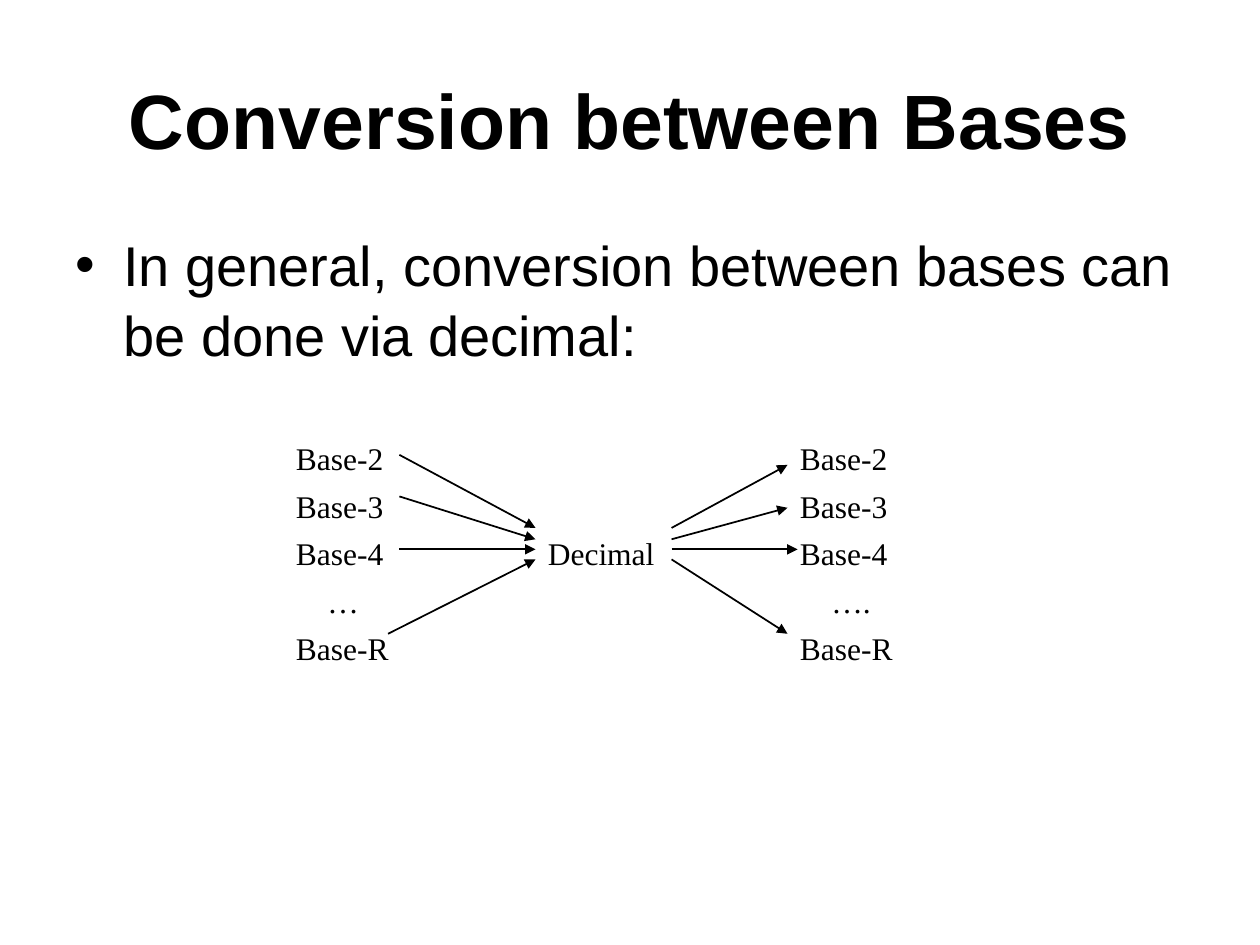
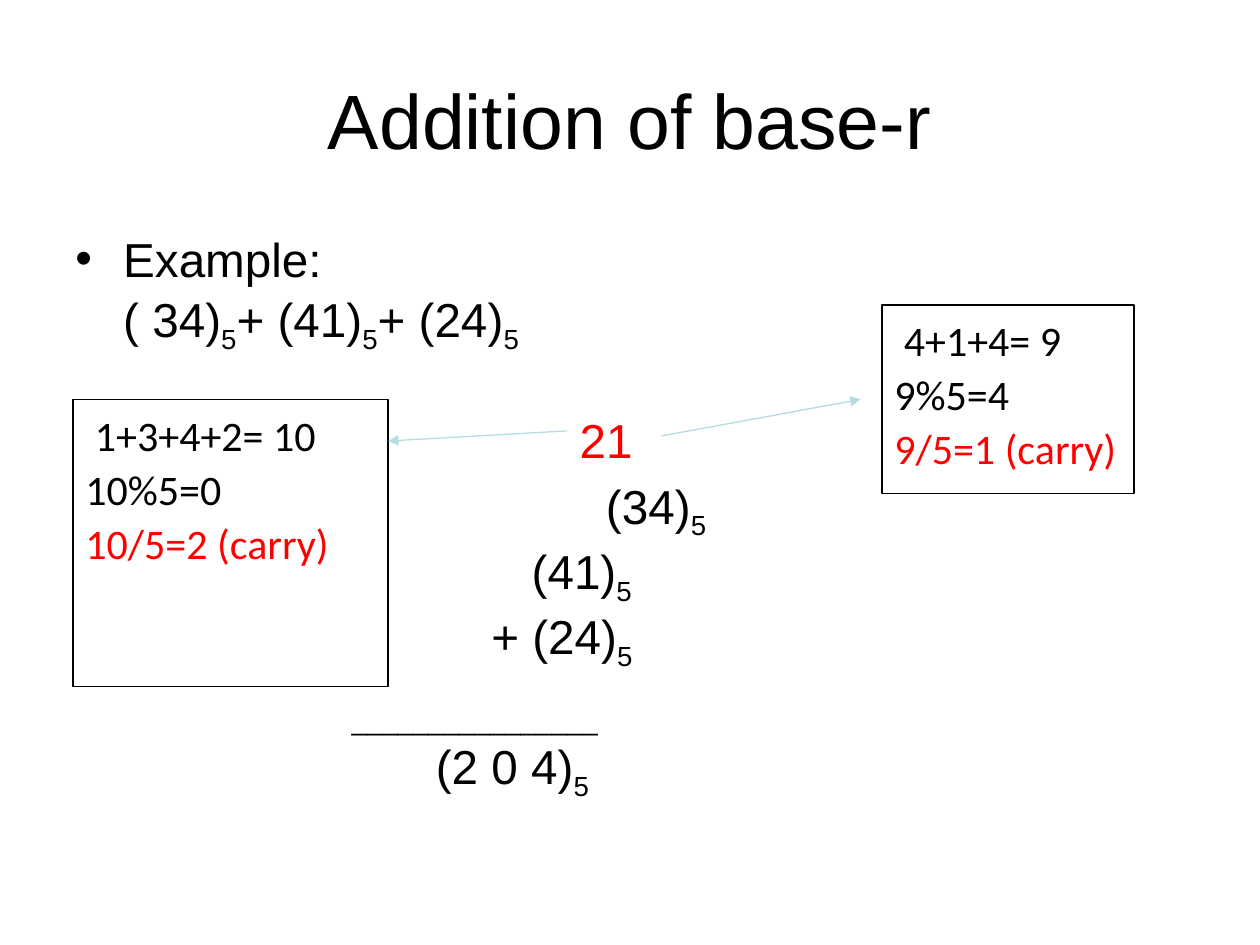
from dataclasses import dataclass
from lxml.etree import SubElement
from pptx import Presentation
from pptx.dml.color import RGBColor as RGB
from pptx.enum.shapes import MSO_CONNECTOR as CONNECTOR, MSO_SHAPE as SHAPE
from pptx.enum.text import MSO_ANCHOR as ANCHOR, MSO_AUTO_SIZE as AUTOSIZE, PP_ALIGN as ALIGN
from pptx.oxml.ns import qn
from pptx.util import Inches, Pt


@dataclass(frozen=True)
class Theme:
    ink: RGB = RGB(0, 0, 0)
    paper: RGB = RGB(255, 255, 255)
    carry: RGB = RGB(255, 0, 0)
    pointer: RGB = RGB(0xB6, 0xDC, 0xDF)
    sans: str = "Arial"
    serif: str = "Times New Roman"
    note: str = "Calibri"
    title: float = 44
    body: float = 32
    example: float = 27.2
    rule: float = 15.8
    label: float = 18
    working: float = 24
    leading: float = 1.05
    note_leading: float = 1.07


theme = Theme()


def write(frame, *runs, size=theme.example, font=theme.sans, color=theme.ink, bold=False,
          leading=theme.leading, before=0, align=ALIGN.LEFT, bullet=False, tabs=(), more=False):
    line = frame.add_paragraph() if more else frame.paragraphs[0]
    line.alignment, line.line_spacing = align, leading
    line.space_before, line.space_after = Pt(before), Pt(0)
    props = line._p.get_or_add_pPr()
    if bullet:
        props.set("marL", str(Inches(0.38)))
        props.set("indent", str(-Inches(0.38)))
        SubElement(props, qn("a:buFont"), typeface=theme.sans)
        SubElement(props, qn("a:buChar"), char="•")
    if tabs:
        stops = SubElement(props, qn("a:tabLst"))
        for stop in tabs:
            SubElement(stops, qn("a:tab"), pos=str(Inches(stop)), algn="l")
    for item in runs:
        words, look = item if isinstance(item, tuple) else (item, None)
        for index, part in enumerate(words.split("\n")):
            if index:
                line.add_line_break()
            if not part:
                continue
            run = line.add_run()
            run.text = part
            run.font.name, run.font.size, run.font.bold = font, Pt(size), bold
            run.font.color.rgb = look if isinstance(look, RGB) else color
            if look == "sub":
                run.font._element.set("baseline", "-25000")


def arrow(slide, start, end, color, width):
    link = slide.shapes.add_connector(CONNECTOR.STRAIGHT, *map(Inches, (*start, *end)))
    link.line.color.rgb, link.line.width = color, Pt(width)
    SubElement(link.line._get_or_add_ln(), qn("a:tailEnd"), type="triangle")
    SubElement(link._element.spPr, qn("a:effectLst"))


deck = Presentation()
deck.slide_width, deck.slide_height = Inches(10), Inches(7.5)
slides, bodies = [], []
for heading, bold in (("Conversion between Bases", True), ("Addition of base-r", False)):
    slide = deck.slides.add_slide(deck.slide_layouts[5])
    title = slide.shapes.title
    title.left, title.top, title.width, title.height = map(Inches, (0.5, 0.3, 9, 1.25))
    title.text_frame.auto_size = AUTOSIZE.NONE
    title.text_frame.vertical_anchor = ANCHOR.MIDDLE
    write(title.text_frame, heading, size=theme.title, bold=bold, align=ALIGN.CENTER)
    body = slide.shapes.add_textbox(*map(Inches, (0.5, 1.75, 9, 4.95))).text_frame
    body.word_wrap = True
    slides.append(slide)
    bodies.append(body)
conversion, addition = slides

write(bodies[0], "In general, conversion between bases can be done via decimal:",
      size=theme.body, bullet=True)

bases = conversion.shapes.add_textbox(*map(Inches, (2.25, 3.42, 5.29, 1.85))).text_frame
bases.word_wrap = True
base_rows = (
    ("Base-2\tBase-2", (4,)),
    ("Base-3\tBase-3", (4,)),
    ("Base-4\tDecimal\tBase-4", (2, 4)),
    ("\t…\t….", (0.25, 4.25)),
    ("Base-R\tBase-R", (4,)),
)
for row, (words, tabs) in enumerate(base_rows):
    write(bases, words, size=theme.label, font=theme.serif, before=4.5, tabs=tabs, more=row > 0)

sources = ((3.17, 3.61), (3.17, 3.94), (3.17, 4.36), (3.08, 5.03))
targets = ((6.25, 3.69), (6.25, 4.03), (6.33, 4.36), (6.25, 5.03))
decimal_ports = (4.19, 4.28, 4.36, 4.44)
for source, port in zip(sources, decimal_ports):
    arrow(conversion, source, (4.25, port), theme.ink, 1)
for target, port in zip(targets, decimal_ports):
    arrow(conversion, (5.33, port), target, theme.ink, 1)

five = ("5", "sub")
write(bodies[1], "Example:\n( 34)", five, "+ (41)", five, "+ (24)", five, bullet=True)

sum_top, sum_pitch = 3.24, 0.516
sum_rows = (
    (0, 4.6, theme.example, [("21", theme.carry)]),
    (1, 4.81, theme.example, ["(34)", five]),
    (2, 4.22, theme.example, ["(41)", five]),
    (3, 3.9, theme.example, ["+ (24)", five]),
    (4.5, 2.79, theme.rule, ["_" * 16]),
    (5, 3.46, theme.example, ["(2 0 4)", five]),
)
for row, left, size, runs in sum_rows:
    place = (left, sum_top + row * sum_pitch, 2.2, sum_pitch)
    line = addition.shapes.add_textbox(*map(Inches, place)).text_frame
    line.margin_left = line.margin_right = line.margin_top = line.margin_bottom = 0
    write(line, *runs, size=size)

workings = (
    ((7, 2.42, 2, 1.5), " 4+1+4= 9\n9%5=4\n", "9/5=1 (carry)"),
    ((0.58, 3.17, 2.5, 2.28), " 1+3+4+2= 10\n10%5=0\n", "10/5=2 (carry)"),
)
for place, steps, carry in workings:
    note = addition.shapes.add_shape(SHAPE.RECTANGLE, *map(Inches, place))
    note.shadow.inherit = False
    note.fill.solid()
    note.fill.fore_color.rgb = theme.paper
    note.line.color.rgb, note.line.width = theme.ink, Pt(0.75)
    note.text_frame.vertical_anchor = ANCHOR.TOP
    note.text_frame.word_wrap = True
    write(note.text_frame, steps, (carry, theme.carry), size=theme.working,
          font=theme.note, leading=theme.note_leading)

for start, end in (((5.25, 3.46), (6.83, 3.17)), ((4.5, 3.42), (3.08, 3.5))):
    arrow(addition, start, end, theme.pointer, 0.75)

deck.save("out.pptx")
